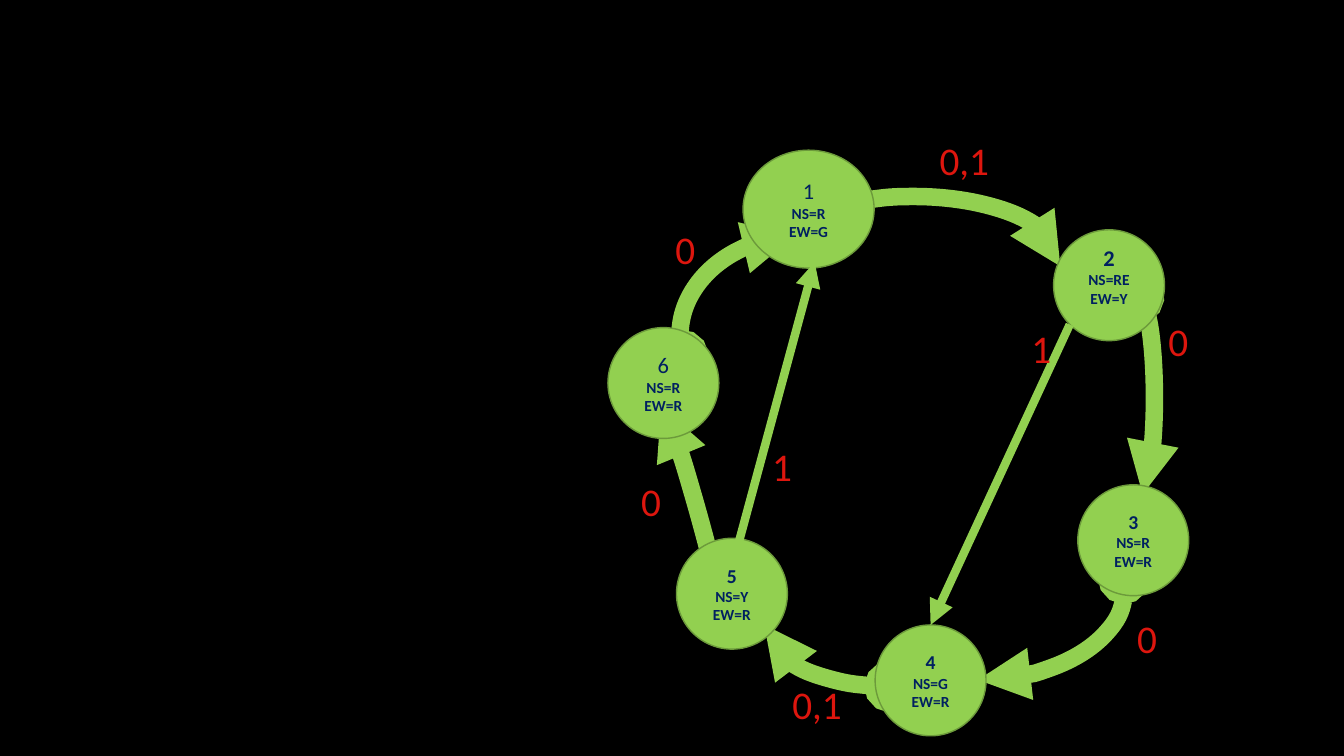
from dataclasses import dataclass

from lxml import etree
from pptx import Presentation
from pptx.dml.color import RGBColor
from pptx.enum.shapes import MSO_CONNECTOR, MSO_SHAPE
from pptx.enum.text import MSO_ANCHOR, MSO_AUTO_SIZE, PP_ALIGN
from pptx.oxml.ns import qn
from pptx.util import Inches, Pt

ARC = MSO_SHAPE.ARC
OVAL = MSO_SHAPE.OVAL
STRAIGHT = MSO_CONNECTOR.STRAIGHT
CENTER = PP_ALIGN.CENTER
MIDDLE = MSO_ANCHOR.MIDDLE
GROW = MSO_AUTO_SIZE.SHAPE_TO_FIT_TEXT


@dataclass(frozen=True)
class Theme:
    background: RGBColor = RGBColor(0x00, 0x00, 0x00)
    green: RGBColor = RGBColor(0x92, 0xD0, 0x50)
    outline: RGBColor = RGBColor(0x6C, 0x9A, 0x3B)
    navy: RGBColor = RGBColor(0x00, 0x20, 0x60)
    red: RGBColor = RGBColor(0xDD, 0x16, 0x0E)
    font: str = "Calibri"
    lights_size: int = 11
    input_size: int = 28
    outline_width: float = 1
    straight_width: float = 6
    arc_width: float = 12.5


THEME = Theme()
STATE_SIZE = 1.1
LABEL_INDENT = 0.45
DEFAULT_ARC = (162, 0)

ARCS = [
    ((6.97, 2.11, 1.99, 2.44), 270, (156.32, 213.24), False),
    ((7.58, 5.59, 2.5, 1.22), 180, DEFAULT_ARC, False),
    ((8.79, 4.38, 1.82, 2.91), 90, (159.61, 0), False),
    ((11.13, 2.95, 0.32, 1.99), 0, (162, 52.44), False),
    ((7.61, 1.95, 2.91, 1.3), 0, (133.46, 0.99), False),
    ((5.21, 5.66, 3.57, 0.21), 255.8, DEFAULT_ARC, True),
]

STATES = [
    ("2", ["NS=RE", "EW=Y"], (10.45, 2.28), (STATE_SIZE, STATE_SIZE), 16, True, 0.24),
    ("1", ["NS=R", "EW=G"], (7.37, 1.49), (1.3, 1.17), 16, False, 0.05),
    ("5", ["NS=Y", "EW=R"], (6.71, 5.34), (STATE_SIZE, STATE_SIZE), 14, True, 0.05),
    ("4", ["NS=G", "EW=R"], (8.68, 6.2), (STATE_SIZE, STATE_SIZE), 14, True, 0.05),
    ("3", ["NS=R EW=R"], (10.69, 4.81), (STATE_SIZE, STATE_SIZE), 14, True, 0.05),
    ("6", ["NS=R", "EW=R"], (6.03, 3.25), (STATE_SIZE, STATE_SIZE), 16, False, 0.05),
]

SHORTCUTS = [
    ((7.26, 5.63), (8.08, 2.6)),
    ((10.61, 3.22), (9.23, 6.2)),
]

INPUTS = [
    ("0,1", 9.22, 1.3, 0.77, 0.1),
    ("0", 11.18, 6.05, 0.77, 0.1),
    ("0", 11.49, 3.1, 0.77, 0.1),
    ("1", 9.78, 3.17, 0.77, LABEL_INDENT),
    ("0", 6.25, 2.19, 0.77, LABEL_INDENT),
    ("0,1", 7.76, 6.7, 0.77, 0.1),
    ("1", 7.56, 4.34, 0.77, 0.1),
    ("0", 5.91, 4.69, 0.93, LABEL_INDENT),
]


def style_line(line, color, width):
    line.color.rgb = color
    line.width = Pt(width)


def add_line_ends(shape, **ends):
    line_element = shape.line._get_or_add_ln()
    for name, kind in ends.items():
        etree.SubElement(line_element, qn(f"a:{name}"), type=kind)


def style_paragraph(paragraph, size, color, bold=False):
    font = paragraph.font
    font.name = THEME.font
    font.size = Pt(size)
    font.bold = bold
    font.color.rgb = color


def add_arc(slide, frame, rotation, angles, flipped):
    arc = slide.shapes.add_shape(ARC, *map(Inches, frame))
    arc.shadow.inherit = False
    arc.fill.background()
    arc.rotation = rotation
    for index, angle in enumerate(angles):
        arc.adjustments[index] = angle
    if flipped:
        arc._element.spPr.find(qn("a:xfrm")).set("flipV", "1")
    style_line(arc.line, THEME.green, THEME.arc_width)
    add_line_ends(arc, headEnd="oval", tailEnd="triangle")


def add_state(slide, number, lights, position, size, number_size, bold, bottom):
    state = slide.shapes.add_shape(OVAL, *map(Inches, position + size))
    state.shadow.inherit = False
    state.fill.solid()
    state.fill.fore_color.rgb = THEME.green
    style_line(state.line, THEME.outline, THEME.outline_width)
    text_frame = state.text_frame
    text_frame.word_wrap = True
    text_frame.vertical_anchor = MIDDLE
    text_frame.margin_bottom = Inches(bottom)
    text_frame.text = "\n".join([number] + lights)
    for index, paragraph in enumerate(text_frame.paragraphs):
        paragraph.alignment = CENTER
        if index == 0:
            style_paragraph(paragraph, number_size, THEME.navy, bold)
        else:
            style_paragraph(paragraph, THEME.lights_size, THEME.navy, True)


def add_shortcut(slide, start, end):
    shortcut = slide.shapes.add_connector(STRAIGHT, *map(Inches, start + end))
    style_line(shortcut.line, THEME.green, THEME.straight_width)
    add_line_ends(shortcut, tailEnd="triangle")
    etree.SubElement(shortcut._element.spPr, qn("a:effectLst"))


def add_input(slide, text, left, top, width, indent):
    label = slide.shapes.add_textbox(*map(Inches, (left, top, width, 0.57)))
    text_frame = label.text_frame
    text_frame.word_wrap = True
    text_frame.auto_size = GROW
    text_frame.margin_left = Inches(indent)
    text_frame.margin_right = 0
    text_frame.text = text
    style_paragraph(text_frame.paragraphs[0], THEME.input_size, THEME.red)


def main():
    presentation = Presentation()
    presentation.slide_width = Inches(13.33)
    presentation.slide_height = Inches(7.5)
    slide = presentation.slides.add_slide(presentation.slide_layouts[6])
    slide.background.fill.solid()
    slide.background.fill.fore_color.rgb = THEME.background
    for arc in ARCS:
        add_arc(slide, *arc)
    for state in STATES:
        add_state(slide, *state)
    for shortcut in SHORTCUTS:
        add_shortcut(slide, *shortcut)
    for label in INPUTS:
        add_input(slide, *label)
    presentation.save("out.pptx")


if __name__ == "__main__":
    main()
